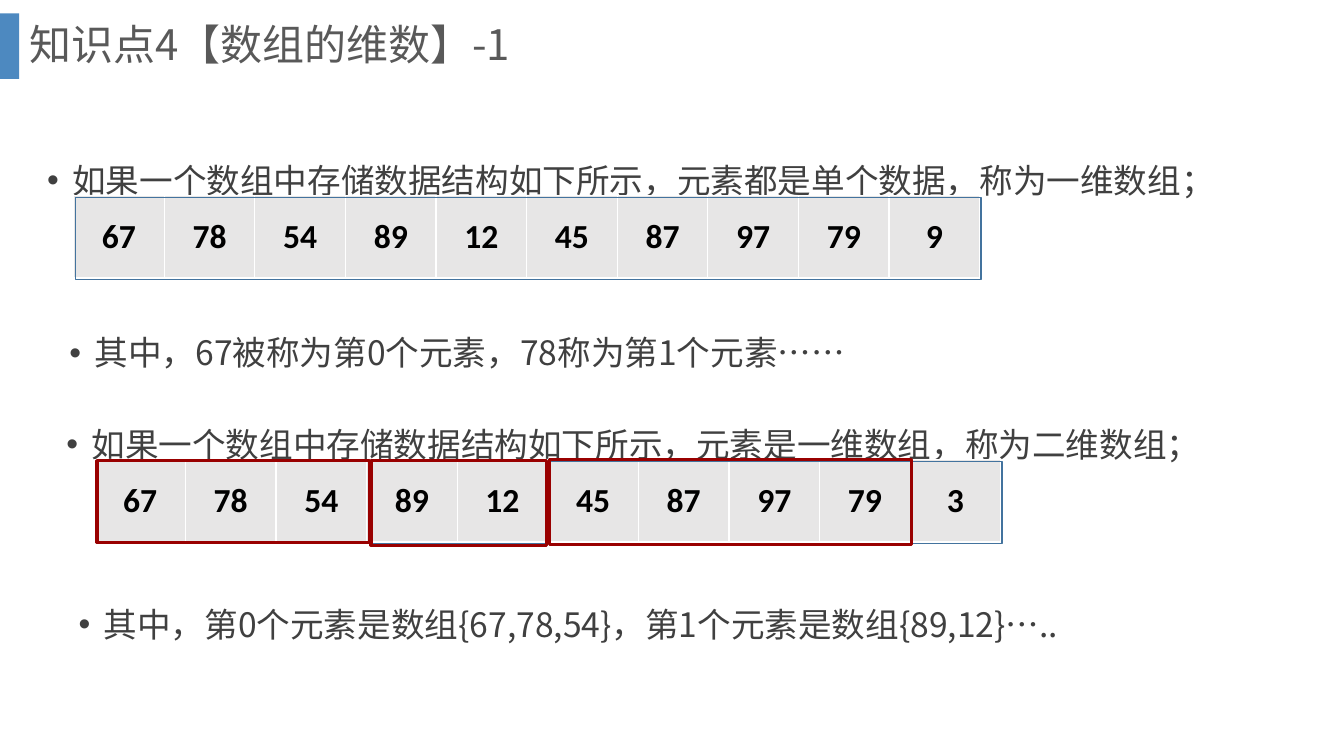
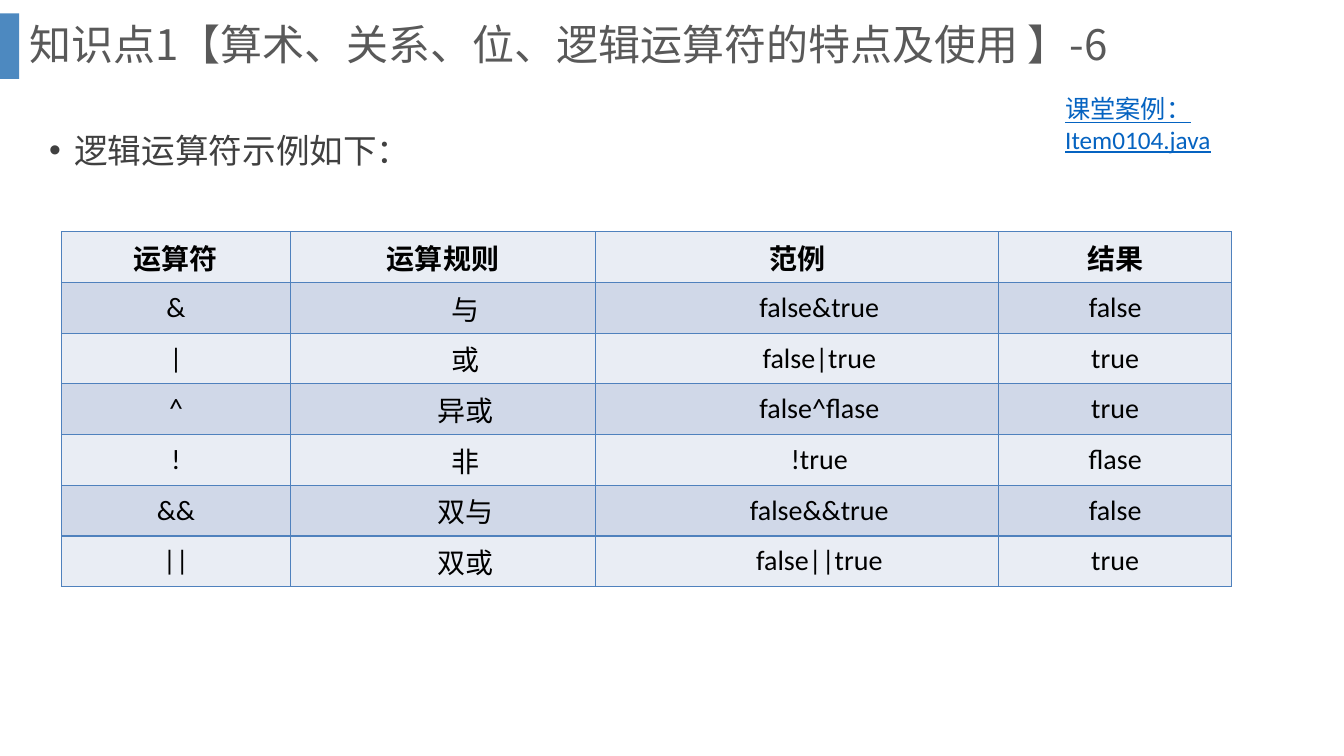
from lxml import etree
from pptx import Presentation
from pptx import util as u
from pptx.dml import color
from pptx.enum import shapes, text
from pptx.oxml import ns

Pt = u.Pt
SANS, LATIN = "Noto Sans CJK SC", "Calibri"
TITLE, BODY, INK, LINK = "595959", "404040", "000000", "0563C1"
BLUE, EDGE, RED, GRID, WHITE = "2E75B6", "43739E", "990000", "4F81BD", "FFFFFF"
GRAY, PALE, BAND = "E7E6E6", "E9EDF4", "D0D8E8"
MIDDLE = text.MSO_ANCHOR.MIDDLE
CENTER = text.PP_ALIGN.CENTER


def rgb(code):
    return color.RGBColor.from_string(code)


def sub(node, tag, **attrs):
    return etree.SubElement(node, ns.qn(tag), attrs)


def write(frame, words, size=24, face=SANS, hue=BODY, bold=False, under=False,
          align=None, space=None, bullet=False, indent=0):
    """Fill the frame's first paragraph with one formatted run."""
    para = frame.paragraphs[0]
    if align is not None:
        para.alignment = align
    if space:
        para.line_spacing = space
    props = para._p.get_or_add_pPr()
    if bullet:
        props.set("marL", str(Pt(18)))
        props.set("indent", str(-Pt(18)))
        sub(props, "a:buFont", typeface="Arial")
        sub(props, "a:buChar", char="•")
    elif indent:
        props.set("indent", str(Pt(indent)))
    run = para.add_run()
    run.text = words
    font = run.font
    font.size, font.name, font.bold = Pt(size), face, bold
    font.underline = under
    font.color.rgb = rgb(hue)
    sub(run._r.get_or_add_rPr(), "a:ea", typeface=SANS)


def border(cell, hue, widths):
    """Draw the left, right, top and bottom edges of a cell."""
    props = cell._tc.get_or_add_tcPr()
    for side, width in zip("LRTB", widths):
        line = sub(props, "a:ln" + side, w=str(Pt(width)))
        sub(sub(line, "a:solidFill"), "a:srgbClr", val=hue)


class Deck:
    def __init__(self):
        self.prs = Presentation()
        self.prs.slide_width, self.prs.slide_height = Pt(960), Pt(540)
        self.slide = None

    def page(self, title):
        """Start a slide with the shared side bar and title."""
        self.slide = self.prs.slides.add_slide(self.prs.slide_layouts[6])
        self.rect(0, 9.6, 13.7, 46.8, fill=BLUE, alpha=85)
        self.label(title, 13.7, 0, 911.5, 67, anchor=MIDDLE,
                   size=30, hue=TITLE, space=0.9)

    def rect(self, x, y, w, h, fill=None, alpha=100, line=None, weight=1):
        box = self.slide.shapes.add_shape(
            shapes.MSO_SHAPE.RECTANGLE, Pt(x), Pt(y), Pt(w), Pt(h))
        box.shadow.inherit = False
        if fill:
            box.fill.solid()
            box.fill.fore_color.rgb = rgb(fill)
            tint = box._element.spPr.find(".//" + ns.qn("a:srgbClr"))
            sub(tint, "a:alpha", val=str(alpha * 1000))
        else:
            box.fill.background()
        if line:
            box.line.color.rgb = rgb(line)
            box.line.width = Pt(weight)
        else:
            box.line.fill.background()

    def label(self, words, x, y, w, h, anchor=text.MSO_ANCHOR.TOP, **style):
        box = self.slide.shapes.add_textbox(Pt(x), Pt(y), Pt(w), Pt(h))
        frame = box.text_frame
        frame.word_wrap = True
        frame.vertical_anchor = anchor
        write(frame, words, **style)

    def point(self, words, x, y, w=867.6):
        self.label(words, x, y, w, 50, space=1.5, bullet=True)

    def table(self, rows, x, y, cols, tall, fills, hue, edges, style):
        """Add a table; style(row, col) gives the text format of a cell."""
        grid = self.slide.shapes.add_table(
            len(rows), len(cols), Pt(x), Pt(y),
            Pt(sum(cols)), Pt(tall * len(rows))).table
        grid.first_row = grid.horz_banding = False
        for col, width in zip(grid.columns, cols):
            col.width = Pt(width)
        for r, row in enumerate(rows):
            for c, words in enumerate(row):
                cell = grid.cell(r, c)
                border(cell, hue, edges)
                cell.fill.solid()
                cell.fill.fore_color.rgb = rgb(fills[r % len(fills)])
                cell.vertical_anchor = MIDDLE
                write(cell.text_frame, words, face=LATIN, hue=INK,
                      align=CENTER, **style(r, c))

    def array(self, items, x, y):
        """Show an array as a row of cells inside a thin frame."""
        self.table([items], x, y, [64.74] * len(items), 59.5, [GRAY],
                   WHITE, (1, 1, 1, 3), lambda r, c: {"bold": True})
        self.rect(x + 1.5, y + 1.5, 646.6, 58.3, line=EDGE)


def dims(deck):
    deck.page("知识点4【数组的维数】-1")
    deck.point("如果一个数组中存储数据结构如下所示，元素都是单个数据，称为一维数组；", 26.6, 96.4)
    nums = "67 78 54 89 12 45 87 97 79".split()
    deck.array(nums + ["9"], 52.6, 139.7)
    deck.point("其中，67被称为第0个元素，78称为第1个元素……", 42.5, 219.5)
    deck.point("如果一个数组中存储数据结构如下所示，元素是一维数组，称为二维数组；", 40.3, 285)
    deck.array(nums + ["3"], 67.7, 328.3)
    for x, y, w, h in ((69.3, 329, 194.4, 58.3), (265, 329, 125.3, 60.5),
                       (392.4, 328.3, 258.5, 60.5)):
        deck.rect(x, y, w, h, line=RED, weight=2.25)
    deck.point("其中，第0个元素是数组{67,78,54}，第1个元素是数组{89,12}…..", 49, 413.2)


def logic(deck):
    deck.page("知识点1【算术、关系、位、逻辑运算符的特点及使用 】-6")
    deck.point("逻辑运算符示例如下：", 28.1, 74.8, 895)
    rows = [
        ("运算符", "运算规则", "范例", "结果"),
        ("&", "与", "false&true", "false"),
        ("|", "或", "false|true", "true"),
        ("^", "异或", "false^flase", "true"),
        ("!", "非", "!true", "flase"),
        ("&&", "双与", "false&&true", "false"),
        ("||", "双或", "false||true", "true"),
    ]

    def style(r, c):
        inset = 31.7 if r and c in (1, 2) else 0
        return {"size": 20, "bold": r == 0, "indent": inset}

    deck.table(rows, 43.9, 165.6, (163.6, 218, 287.9, 166.4), 36.2,
               [PALE, BAND], GRID, (1, 1, 1, 1), style)
    deck.label("课堂案例：Item0104.java", 753.8, 63.4, 164.2, 51,
               size=18, face=LATIN, hue=LINK, under=True)


def main():
    deck = Deck()
    dims(deck)
    logic(deck)
    deck.prs.save("out.pptx")


if __name__ == "__main__":
    main()
